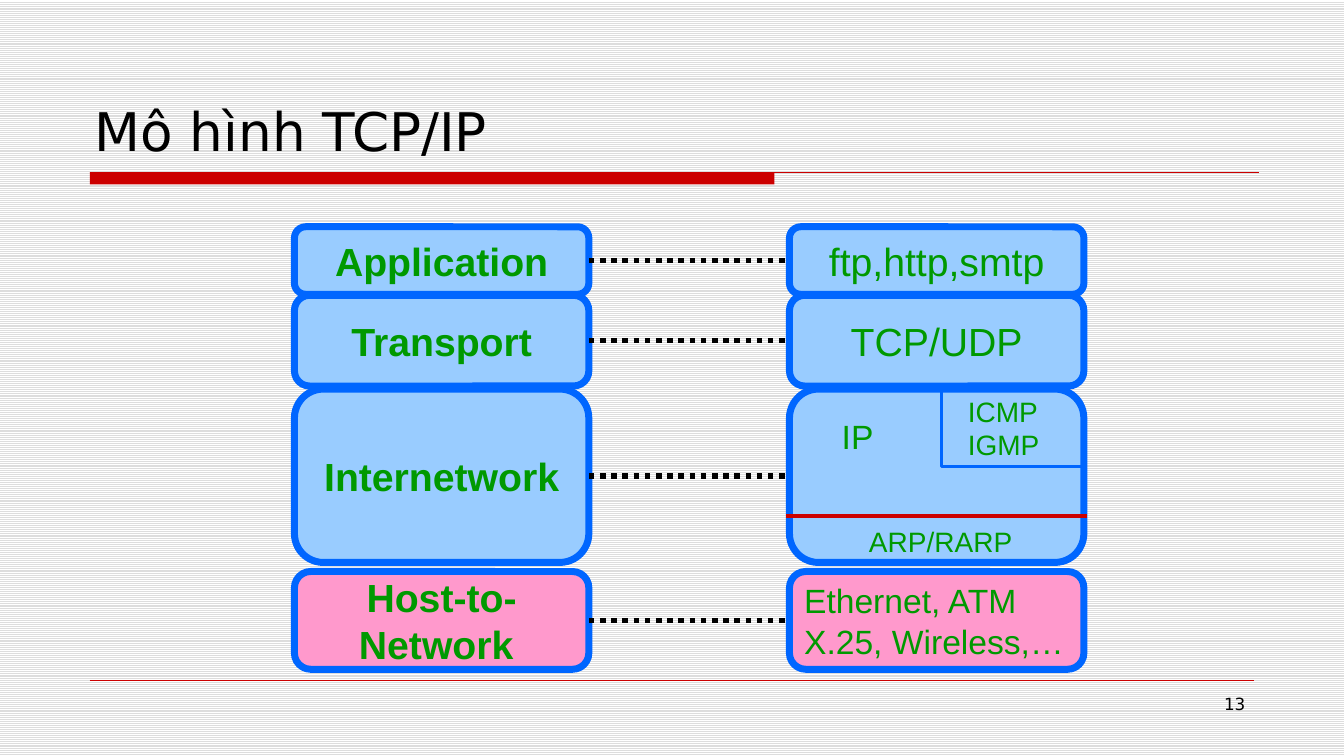
from pptx import Presentation
from pptx.dml.color import RGBColor
from pptx.enum.dml import MSO_LINE, MSO_PATTERN
from pptx.enum.shapes import MSO_CONNECTOR, MSO_SHAPE
from pptx.enum.text import MSO_ANCHOR, PP_ALIGN
from pptx.oxml.ns import qn
from pptx.util import Inches, Pt
from lxml.etree import SubElement

COLORS = {
    "black": "000000", "white": "FFFFFF", "stripe": "DDDDDD", "red": "CC0000",
    "green": "009900", "blue": "0066FF", "sky": "99CCFF", "pink": "FF99CC",
}
TITLE = "Mô hình TCP/IP"
PAGE_NUMBER = "13"

# Layer name, protocols, protocol size, protocol alignment, top, height, fill
LAYERS = [
    (["Application"], ["ftp,http,smtp"], 28, PP_ALIGN.CENTER, 2.25, 0.67, "sky"),
    (["Transport"], ["TCP/UDP"], 28, PP_ALIGN.CENTER, 2.93, 0.9, "sky"),
    (["Internetwork"], [], 28, PP_ALIGN.CENTER, 3.86, 1.72, "sky"),
    (["Host-to-", "Network "], ["Ethernet, ATM", "X.25, Wireless,…"], 24,
     PP_ALIGN.LEFT, 5.67, 0.97, "pink"),
]
LAYER_LEFT, PROTOCOL_LEFT, BOX_WIDTH = 2.92, 7.83, 2.92

# Labels inside the Internetwork protocols box: lines, size, place, wrap
INTERNET_LABELS = [
    (["IP"], 24, (8.25, 4.08, 0.52, 0.5), False),
    (["ICMP", "IGMP"], 20, (9.5, 3.86, 0.91, 0.77), False),
    (["ARP/RARP"], 20, (8.52, 5.15, 1.73, 0.43), True),
]
ICMP_CORNER = [(9.34, 3.84), (9.34, 4.63), (10.76, 4.63)]


def rgb(name):
    return RGBColor.from_string(COLORS[name])


def write(shape, lines, size, color="green", font="Arial", bold=False,
          align=PP_ALIGN.LEFT, anchor=MSO_ANCHOR.TOP, wrap=True):
    frame = shape.text_frame
    frame.word_wrap = wrap
    frame.vertical_anchor = anchor
    frame.text = "\n".join(lines)
    for paragraph in frame.paragraphs:
        paragraph.alignment = align
        paragraph.font.name = font
        paragraph.font.size = Pt(size)
        paragraph.font.bold = bold
        paragraph.font.color.rgb = rgb(color)


def add_label(place, lines, size, **style):
    write(slide.shapes.add_textbox(*map(Inches, place)), lines, size, **style)


def add_box(left, top, height, fill):
    box = slide.shapes.add_shape(
        MSO_SHAPE.ROUNDED_RECTANGLE,
        *map(Inches, (left, top, BOX_WIDTH, height)))
    box.shadow.inherit = False
    box.fill.solid()
    box.fill.fore_color.rgb = rgb(fill)
    box.line.color.rgb = rgb("blue")
    box.line.width = Pt(5)
    return box


def add_line(x1, y1, x2, y2, color, width):
    line = slide.shapes.add_connector(
        MSO_CONNECTOR.STRAIGHT, *map(Inches, (x1, y1, x2, y2)))
    line.line.color.rgb = rgb(color)
    line.line.width = Pt(width)
    SubElement(line._element.spPr, qn("a:effectLst"))
    return line


presentation = Presentation()
presentation.slide_width = Inches(13.33)
presentation.slide_height = Inches(7.5)
slide = presentation.slides.add_slide(presentation.slide_layouts[6])

# Striped background
background = slide.background.fill
background.patterned()
background.pattern = MSO_PATTERN.LIGHT_HORIZONTAL
background.fore_color.rgb = rgb("stripe")
background.back_color.rgb = rgb("white")

# Title and footer rules
title_bar = slide.shapes.add_shape(
    MSO_SHAPE.RECTANGLE, *map(Inches, (0.89, 1.71, 6.79, 0.12)))
title_bar.shadow.inherit = False
title_bar.fill.solid()
title_bar.fill.fore_color.rgb = rgb("red")
title_bar.line.fill.background()
add_line(0.89, 1.71, 12.49, 1.71, "red", 0.75)
add_line(0.89, 6.75, 12.44, 6.75, "red", 0.25)

# Title and page number
add_label((0.84, 0.33, 11.67, 1.33), [TITLE], 38, color="black",
          font="DejaVu Sans", anchor=MSO_ANCHOR.BOTTOM)
add_label((9.56, 6.83, 2.89, 0.52), [PAGE_NUMBER], 12, color="black",
          font="DejaVu Sans", align=PP_ALIGN.RIGHT)

# Layers on the left, their protocols on the right, dotted links between
for names, protocols, size, align, top, height, fill in LAYERS:
    layer_box = add_box(LAYER_LEFT, top, height, fill)
    write(layer_box, names, 28, bold=True, align=PP_ALIGN.CENTER,
          anchor=MSO_ANCHOR.MIDDLE, wrap=False)
    protocol_box = add_box(PROTOCOL_LEFT, top, height, fill)
    if protocols:
        write(protocol_box, protocols, size, align=align,
              anchor=MSO_ANCHOR.MIDDLE, wrap=False)
    middle = top + height / 2
    link = add_line(LAYER_LEFT + BOX_WIDTH, middle, PROTOCOL_LEFT, middle,
                    "black", 4)
    link.line.dash_style = MSO_LINE.ROUND_DOT
    link.begin_connect(layer_box, 3)
    link.end_connect(protocol_box, 1)

# Divisions of the Internetwork protocols box
add_line(10.78, 5.12, 7.8, 5.12, "red", 3)
start, *corners = [tuple(map(Inches, point)) for point in ICMP_CORNER]
builder = slide.shapes.build_freeform(*start)
builder.add_line_segments(corners, close=False)
icmp_border = builder.convert_to_shape()
icmp_border.shadow.inherit = False
icmp_border.fill.background()
icmp_border.line.color.rgb = rgb("blue")
icmp_border.line.width = Pt(2)
for lines, size, place, wrap in INTERNET_LABELS:
    add_label(place, lines, size, wrap=wrap)

presentation.save("out.pptx")
